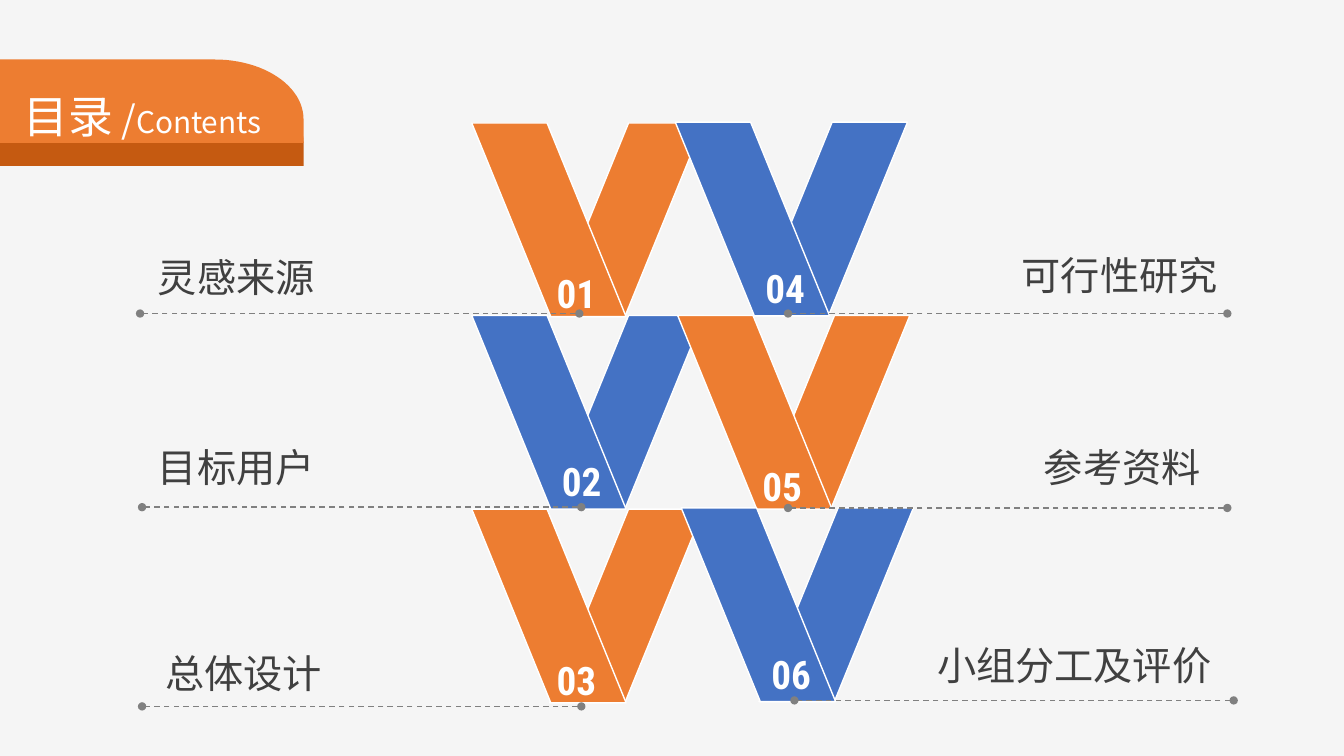
"""Build a contents slide with six numbered V marks and dashed leader lines."""
from dataclasses import dataclass
from math import cos, pi, sin
from typing import NamedTuple

from lxml import etree
from pptx import Presentation
from pptx.dml.color import RGBColor
from pptx.enum import dml, shapes, text
from pptx.oxml import ns
from pptx.util import Cm, Pt


@dataclass(frozen=True)
class Theme:
    """Colours, fonts and type sizes of the slide."""
    background: RGBColor = RGBColor(0xF5, 0xF5, 0xF5)
    orange: RGBColor = RGBColor(0xED, 0x7D, 0x31)
    rust: RGBColor = RGBColor(0xC5, 0x5A, 0x11)
    blue: RGBColor = RGBColor(0x44, 0x72, 0xC4)
    white: RGBColor = RGBColor(0xFF, 0xFF, 0xFF)
    grey: RGBColor = RGBColor(0x80, 0x80, 0x80)
    ink: RGBColor = RGBColor(0x40, 0x40, 0x40)
    body_font: str = "Noto Sans CJK SC"
    number_font: str = "Roboto Condensed"
    entry_size: float = 28
    title_sizes: tuple[float, ...] = (32, 26.7, 21.3)


class Point(NamedTuple):
    """A position in centimetres."""
    x: float
    y: float


@dataclass(frozen=True)
class Entry:
    """One contents entry with the places of its parts."""
    number: str
    label: str
    color: RGBColor
    label_at: Point
    mark_at: Point
    number_at: Point
    line_at: Point


THEME = Theme()
LEG_WIDTH, LEG_HEIGHT, LEG_STEP, LEG_SLANT = 3.89, 4.88, 1.96, 0.512
LINE_LENGTH = 11.07
BANNER_WIDTH, BANNER_HEIGHT, CORNER_X, CORNER_Y = 7.65, 2.1, 2.24, 1.5
ENTRIES = [
    Entry("01", "灵感来源", THEME.orange, Point(3.73, 6.4), Point(11.89, 3.1),
          Point(13.36, 6.65), Point(3.53, 7.9)),
    Entry("02", "目标用户", THEME.blue, Point(3.73, 11.18), Point(11.89, 7.95),
          Point(13.49, 11.4), Point(3.58, 12.78)),
    Entry("03", "总体设计", THEME.orange, Point(3.91, 16.36), Point(11.89, 12.83),
          Point(13.36, 16.41), Point(3.58, 17.8)),
    Entry("04", "可行性研究", THEME.blue, Point(25.5, 6.35), Point(17.02, 3.08),
          Point(18.62, 6.53), Point(19.86, 7.9)),
    Entry("05", "参考资料", THEME.orange, Point(26.06, 11.18), Point(17.08, 7.95),
          Point(18.54, 11.53), Point(19.86, 12.8)),
    Entry("06", "小组分工及评价", THEME.blue, Point(23.37, 16.18), Point(17.17, 12.8),
          Point(18.77, 16.26), Point(20.02, 17.65)),
]


def add_text(slide, at: Point, width: float, height: float, words: list[str],
             color: RGBColor, font: str, sizes: tuple[float, ...]):
    """Add a one-paragraph text box and return its paragraph."""
    box = slide.shapes.add_textbox(Cm(at.x), Cm(at.y), Cm(width), Cm(height))
    tf = box.text_frame
    tf.word_wrap = True
    p = tf.paragraphs[0]
    p.font.name = font
    p.font.color.rgb = color
    latin = p.font._element.find(ns.qn("a:latin"))
    latin.addnext(latin.makeelement(ns.qn("a:ea"), {"typeface": font}))
    if len(sizes) == 1:
        p.font.size = Pt(sizes[0])
    for i, word in enumerate(words):
        r = p.add_run()
        r.text = word
        if len(sizes) > 1:
            r.font.size = Pt(sizes[i])
    return p


def add_label(slide, entry: Entry) -> None:
    """Add the wording of an entry."""
    width = 1.05 * len(entry.label) + 0.9
    p = add_text(slide, entry.label_at, width, 1.55, [entry.label], THEME.ink,
                 THEME.body_font, (THEME.entry_size,))
    p.line_spacing = 0.9
    p.space_before = Pt(10)


def add_mark(slide, entry: Entry) -> None:
    """Add the V of two slanted legs with its number."""
    for shift, flipped in ((LEG_STEP, False), (0, True)):
        sp = slide.shapes.add_shape(
            shapes.MSO_SHAPE.PARALLELOGRAM, Cm(entry.mark_at.x + shift),
            Cm(entry.mark_at.y), Cm(LEG_WIDTH), Cm(LEG_HEIGHT))
        sp.adjustments[0] = LEG_SLANT
        sp.shadow.inherit = False
        sp.fill.solid()
        sp.fill.fore_color.rgb = entry.color
        sp.line.color.rgb = THEME.white
        sp.line.width = Pt(1)
        if flipped:
            sp._element.spPr.xfrm.set("flipH", "1")
    p = add_text(slide, entry.number_at, 2.34, 1.45, [entry.number], THEME.white,
                 THEME.number_font, (THEME.entry_size,))
    p.alignment = text.PP_ALIGN.CENTER
    p.font.bold = True


def add_leader(slide, at: Point) -> None:
    """Add a dashed line with a dot at each end."""
    line = slide.shapes.add_connector(
        shapes.MSO_CONNECTOR.STRAIGHT, Cm(at.x + LINE_LENGTH), Cm(at.y),
        Cm(at.x), Cm(at.y))
    line.line.color.rgb = THEME.grey
    line.line.width = Pt(1)
    line.line.dash_style = dml.MSO_LINE.DASH
    ln = line.line._get_or_add_ln()
    for end in ("a:headEnd", "a:tailEnd"):
        etree.SubElement(ln, ns.qn(end), {"type": "oval"})
    etree.SubElement(line._element.spPr, ns.qn("a:effectLst"))


def add_banner(slide, top: float, color: RGBColor) -> None:
    """Add a banner layer with an elliptical top right corner."""
    angles = [i * pi / 48 for i in range(25)]
    corner = [(BANNER_WIDTH - CORNER_X * (1 - cos(a)),
               top + CORNER_Y * (1 - sin(a))) for a in angles]
    bottom = top + BANNER_HEIGHT
    outline = [(0, bottom), (BANNER_WIDTH, bottom), *corner]
    pen = slide.shapes.build_freeform(Cm(0), Cm(top))
    pen.add_line_segments([(Cm(x), Cm(y)) for x, y in outline], close=True)
    sp = pen.convert_to_shape()
    sp.shadow.inherit = False
    sp.fill.solid()
    sp.fill.fore_color.rgb = color
    sp.line.fill.background()


def main() -> None:
    """Build and save the slide."""
    prs = Presentation()
    prs.slide_width, prs.slide_height = Cm(33.87), Cm(19.05)
    slide = prs.slides.add_slide(prs.slide_layouts[6])
    slide.background.fill.solid()
    slide.background.fill.fore_color.rgb = THEME.background
    for entry in ENTRIES:
        add_label(slide, entry)
    for entry in ENTRIES:
        add_mark(slide, entry)
    for entry in ENTRIES:
        add_leader(slide, entry.line_at)
    add_banner(slide, 2.08, THEME.rust)
    add_banner(slide, 1.5, THEME.orange)
    title = add_text(slide, Point(-0.69, 1.83), 8.56, 1.75, ["目录", " /", "Contents"],
                     THEME.white, THEME.body_font, THEME.title_sizes)
    title.alignment = text.PP_ALIGN.CENTER
    title.line_spacing = 1.2
    prs.save("out.pptx")


if __name__ == "__main__":
    main()
